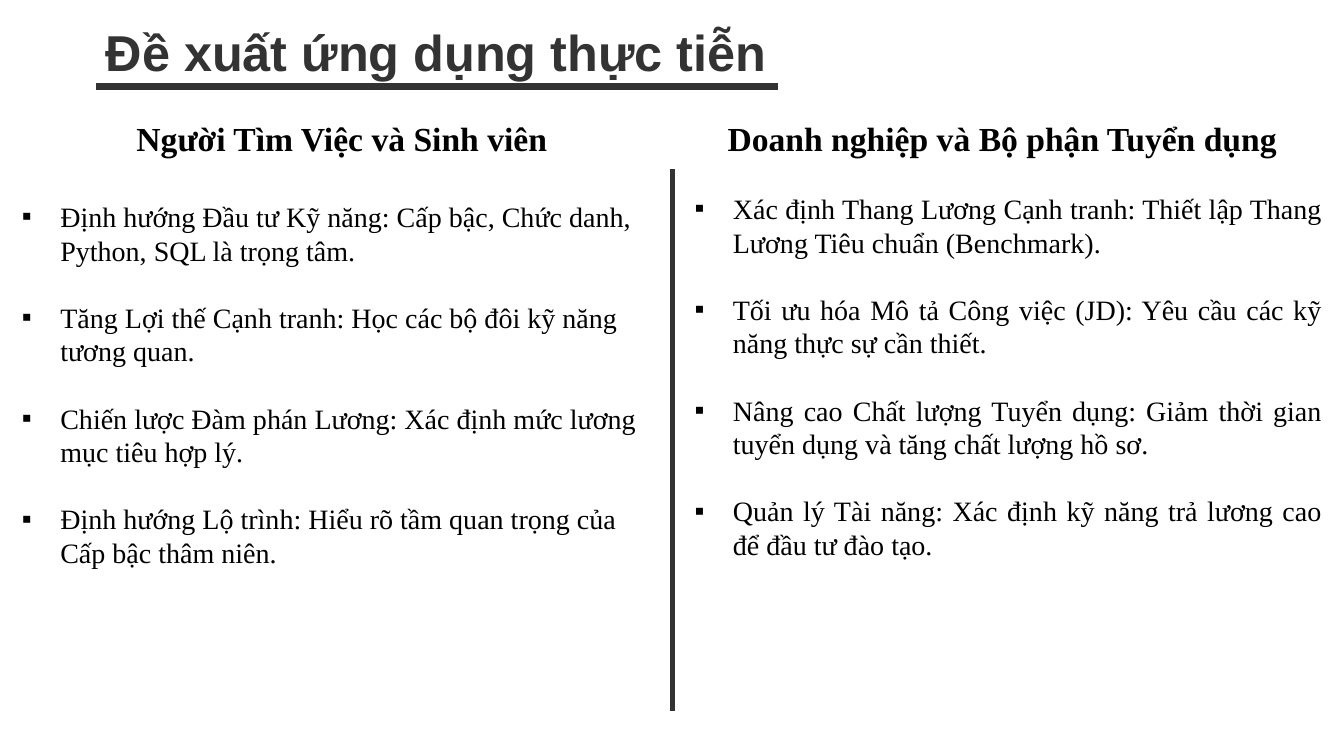
from lxml import etree
from pptx import Presentation
from pptx.dml.color import RGBColor
from pptx.enum.shapes import MSO_CONNECTOR
from pptx.enum.text import MSO_ANCHOR, PP_ALIGN
from pptx.oxml.ns import qn
from pptx.util import Inches, Pt

LEFT, CENTER, JUSTIFY = PP_ALIGN.LEFT, PP_ALIGN.CENTER, PP_ALIGN.JUSTIFY
TOP = MSO_ANCHOR.TOP
STRAIGHT = MSO_CONNECTOR.STRAIGHT


def color(hex_code):
    return RGBColor.from_string(hex_code)


class SlideBuilder:
    """Draws titles, headings, bullet lists and rules in one style."""

    ACCENT = "333333"
    INK = "000000"
    TITLE_FONT = "Arial"
    BODY_FONT = "Times New Roman"
    INDENT = Inches(0.38)
    GAP = Pt(12)

    def __init__(self, slide):
        self.slide = slide

    def text(self, box, lines, size, font, ink, bold=False, align=LEFT):
        frame = self.slide.shapes.add_textbox(*map(Inches, box)).text_frame
        frame.word_wrap = True
        frame.vertical_anchor = TOP
        frame.text = "\n".join(lines)
        for paragraph in frame.paragraphs:
            paragraph.alignment = align
            for run in paragraph.runs:
                run.font.size = Pt(size)
                run.font.name = font
                run.font.bold = bold
                run.font.color.rgb = color(ink)
        return frame.paragraphs

    def title(self, box, wording):
        self.text(box, [wording], 36, self.TITLE_FONT, self.ACCENT, True)

    def heading(self, box, wording):
        paragraphs = self.text(box, [wording], 24, self.BODY_FONT, self.INK, True, CENTER)
        paragraphs[0].line_spacing = 1.1

    def bullets(self, box, items, align):
        paragraphs = self.text(box, items, 20, self.BODY_FONT, self.INK, align=align)
        for index, paragraph in enumerate(paragraphs):
            properties = paragraph._p.get_or_add_pPr()
            properties.set("marL", str(self.INDENT))
            properties.set("indent", str(-self.INDENT))
            etree.SubElement(properties, qn("a:buFont")).set("typeface", self.TITLE_FONT)
            etree.SubElement(properties, qn("a:buChar")).set("char", "▪")
            paragraph.line_spacing = Pt(24)
            paragraph.space_after = self.GAP
            if index:
                paragraph.space_before = self.GAP

    def rule(self, start, end, width):
        line = self.slide.shapes.add_connector(STRAIGHT, *map(Inches, start + end))
        line.line.color.rgb = color(self.ACCENT)
        line.line.width = Pt(width)
        etree.SubElement(line._element.spPr, qn("a:effectLst"))


def main():
    deck = Presentation()
    deck.slide_width, deck.slide_height = Inches(13.33), Inches(7.5)
    builder = SlideBuilder(deck.slides.add_slide(deck.slide_layouts[6]))

    builder.rule((0.95, 0.86), (7.72, 0.86), 5)
    builder.title((0.95, 0.16, 7.02, 0.63), "Đề xuất ứng dụng thực tiễn")

    audiences = [
        ("Người Tìm Việc và Sinh viên", 0.12, (0.12, 1.93, 6.54, 4.82), LEFT, [
            "Định hướng Đầu tư Kỹ năng: Cấp bậc, Chức danh, Python, SQL là trọng tâm.",
            "Tăng Lợi thế Cạnh tranh: Học các bộ đôi kỹ năng tương quan.",
            "Chiến lược Đàm phán Lương: Xác định mức lương mục tiêu hợp lý.",
            "Định hướng Lộ trình: Hiểu rõ tầm quan trọng của Cấp bậc thâm niên.",
        ]),
        ("Doanh nghiệp và Bộ phận Tuyển dụng", 6.67, (6.79, 1.85, 6.42, 4.9), JUSTIFY, [
            "Xác định Thang Lương Cạnh tranh: Thiết lập Thang Lương Tiêu chuẩn (Benchmark).",
            "Tối ưu hóa Mô tả Công việc (JD): Yêu cầu các kỹ năng thực sự cần thiết.",
            "Nâng cao Chất lượng Tuyển dụng: Giảm thời gian tuyển dụng và tăng chất lượng hồ sơ.",
            "Quản lý Tài năng: Xác định kỹ năng trả lương cao để đầu tư đào tạo.",
        ]),
    ]
    for audience, heading_left, proposals_box, align, proposals in audiences:
        builder.heading((heading_left, 1.08, 6.54, 0.76), audience)
        builder.bullets(proposals_box, proposals, align)

    builder.rule((6.67, 1.68), (6.67, 7.05), 3)
    deck.save("out.pptx")


if __name__ == "__main__":
    main()
